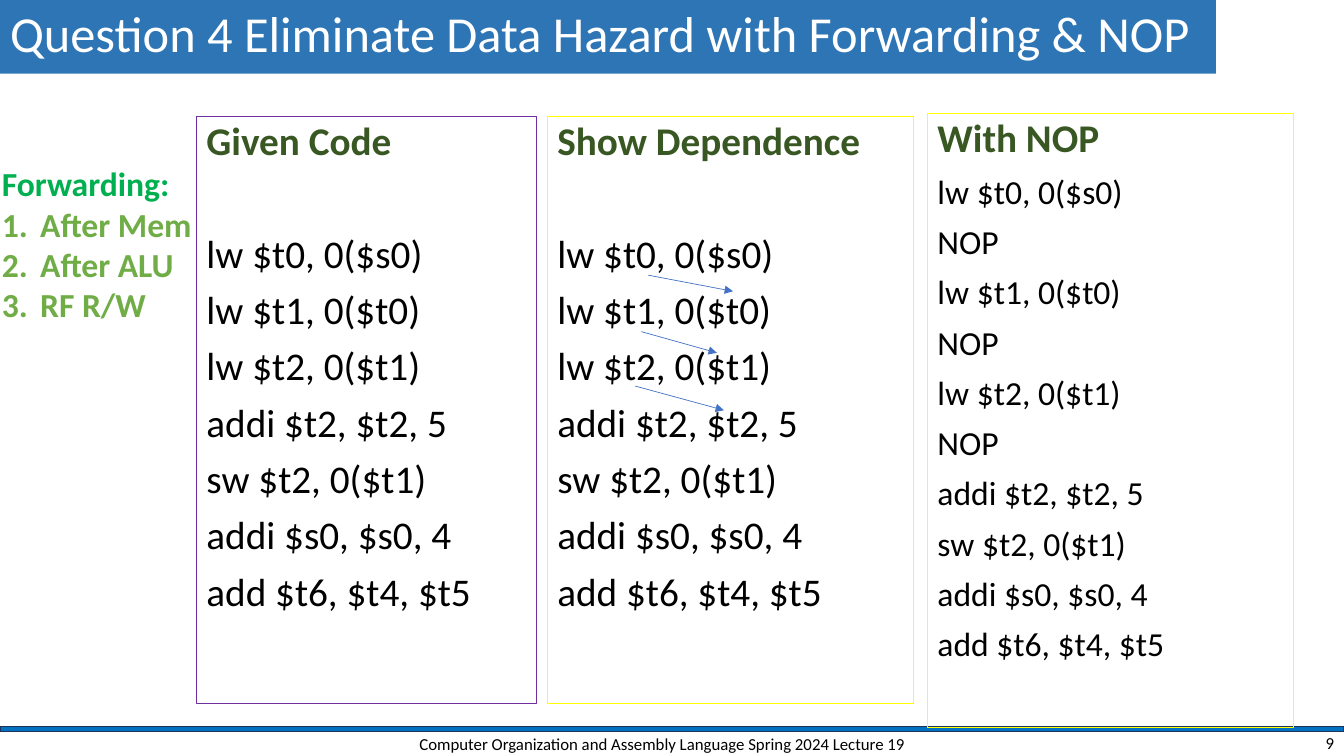
import pptx
import pptx.dml.color
import pptx.enum.shapes
import pptx.enum.text
import pptx.oxml.ns
import pptx.util
from lxml import etree

Inches = pptx.util.Inches
Pt = pptx.util.Pt
RGBColor = pptx.dml.color.RGBColor
ALIGN = pptx.enum.text.PP_ALIGN
ANCHOR = pptx.enum.text.MSO_ANCHOR
AUTO_SIZE = pptx.enum.text.MSO_AUTO_SIZE
qn = pptx.oxml.ns.qn

FONT = "Calibri"
WHITE = RGBColor(0xFF, 0xFF, 0xFF)
BLACK = RGBColor(0, 0, 0)
TITLE_BLUE = RGBColor(0x2E, 0x75, 0xB6)
RULE_BLUE = RGBColor(0x00, 0x70, 0xC0)
RULE_EDGE = RGBColor(0x1E, 0x32, 0x56)
ARROW_BLUE = RGBColor(0x44, 0x72, 0xC4)
PURPLE = RGBColor(0x70, 0x30, 0xA0)
YELLOW = RGBColor(0xFF, 0xFF, 0x00)
DARK_GREEN = RGBColor(0x38, 0x57, 0x23)
BRIGHT_GREEN = RGBColor(0x00, 0xB0, 0x50)
LIGHT_GREEN = RGBColor(0x70, 0xAD, 0x47)

LOADS = ["lw $t0, 0($s0)", "lw $t1, 0($t0)", "lw $t2, 0($t1)"]
REMAINDER = ["addi $t2, $t2, 5", "sw $t2, 0($t1)", "addi $s0, $s0, 4", "add $t6, $t4, $t5"]
GIVEN_CODE = LOADS + REMAINDER
NOP_CODE = [line for load in LOADS for line in (load, "NOP")] + REMAINDER

DEPENDENCES = [
    ((6.43, 2.73), (7.27, 2.89)),
    ((6.36, 3.29), (7.11, 3.5)),
    ((6.3, 3.83), (7.18, 4.07)),
]


def write_text(paragraph, text, size, color=BLACK, bold=False, align=ALIGN.LEFT,
               line_spacing=1.0, space_before=0, numbered=False):
    paragraph.alignment = align
    paragraph.line_spacing = line_spacing
    paragraph.space_before = Pt(space_before)
    if numbered:
        properties = paragraph._p.get_or_add_pPr()
        properties.set("marL", str(Inches(0.38)))
        properties.set("indent", str(Inches(-0.38)))
        etree.SubElement(properties, qn("a:buAutoNum"), type="arabicPeriod")
    run = paragraph.add_run()
    run.text = text
    run.font.name = FONT
    run.font.size = Pt(size)
    run.font.bold = bold
    run.font.color.rgb = color


def add_text_box(slide, left, top, width, height, anchor=ANCHOR.TOP, wrap=True):
    shape = slide.shapes.add_textbox(Inches(left), Inches(top), Inches(width), Inches(height))
    shape.text_frame.word_wrap = wrap
    shape.text_frame.vertical_anchor = anchor
    return shape


def add_title(slide, text):
    title = slide.shapes.title
    title.left, title.top = Inches(0), Inches(-0.02)
    title.width, title.height = Inches(12.06), Inches(0.75)
    title.fill.solid()
    title.fill.fore_color.rgb = TITLE_BLUE
    title.text_frame.auto_size = AUTO_SIZE.NONE
    title.text_frame.vertical_anchor = ANCHOR.MIDDLE
    write_text(title.text_frame.paragraphs[0], text, 36, WHITE, line_spacing=0.9)


def add_footer(slide, text, number):
    rule = slide.shapes.add_shape(pptx.enum.shapes.MSO_SHAPE.RECTANGLE,
                                  Inches(0), Inches(7.21), Inches(13.33), Inches(0.05))
    rule.shadow.inherit = False
    rule.fill.solid()
    rule.fill.fore_color.rgb = RULE_BLUE
    rule.line.color.rgb = RULE_EDGE
    rule.line.width = Pt(1)
    footer = add_text_box(slide, 3.92, 7.24, 5.3, 0.28, ANCHOR.MIDDLE)
    write_text(footer.text_frame.paragraphs[0], text, 12, align=ALIGN.CENTER)
    page = add_text_box(slide, 10.33, 7.24, 3, 0.25, ANCHOR.MIDDLE)
    write_text(page.text_frame.paragraphs[0], number, 12, align=ALIGN.RIGHT)


def add_code_panel(slide, left, top, width, height, border, heading, code, size=28, gap=10):
    """Draw a bordered listing; gap is the space in points below its heading."""
    panel = add_text_box(slide, left, top, width, height)
    panel.line.color.rgb = border
    panel.line.width = Pt(0.75)
    frame = panel.text_frame
    write_text(frame.paragraphs[0], heading, 28, DARK_GREEN, bold=True, line_spacing=0.9)
    for index, line in enumerate(code):
        write_text(frame.add_paragraph(), line, size, line_spacing=0.9,
                   space_before=10 if index else gap)


def add_arrow(slide, start, end):
    arrow = slide.shapes.add_connector(pptx.enum.shapes.MSO_CONNECTOR.STRAIGHT,
                                       *(Inches(value) for value in start + end))
    arrow.line.color.rgb = ARROW_BLUE
    arrow.line.width = Pt(0.5)
    etree.SubElement(arrow.line._get_or_add_ln(), qn("a:tailEnd"), type="triangle")
    etree.SubElement(arrow._element.spPr, qn("a:effectLst"))


def add_forwarding_list(slide, heading, items):
    box = add_text_box(slide, -0.08, 1.57, 2.11, 1.72, wrap=False)
    frame = box.text_frame
    frame.auto_size = AUTO_SIZE.SHAPE_TO_FIT_TEXT
    write_text(frame.paragraphs[0], heading, 24, BRIGHT_GREEN, bold=True)
    for item in items:
        write_text(frame.add_paragraph(), item, 24, LIGHT_GREEN, bold=True, numbered=True)


def main():
    presentation = pptx.Presentation()
    presentation.slide_width = Inches(13.33)
    presentation.slide_height = Inches(7.5)
    slide = presentation.slides.add_slide(presentation.slide_layouts[5])
    add_title(slide, "Question 4 Eliminate Data Hazard with Forwarding & NOP")
    add_footer(slide, "Computer Organization and Assembly Language Spring 2024 Lecture 19", "9")
    add_code_panel(slide, 1.95, 1.16, 3.37, 5.82, PURPLE, "Given Code", GIVEN_CODE, gap=50)
    add_code_panel(slide, 5.43, 1.16, 3.63, 5.82, YELLOW, "Show Dependence", GIVEN_CODE, gap=50)
    add_code_panel(slide, 9.2, 1.13, 3.63, 6.09, YELLOW, "With NOP", NOP_CODE, size=24)
    for start, end in DEPENDENCES:
        add_arrow(slide, start, end)
    add_forwarding_list(slide, "Forwarding:", ["After Mem", "After ALU", "RF R/W"])
    presentation.save("out.pptx")


if __name__ == "__main__":
    main()
